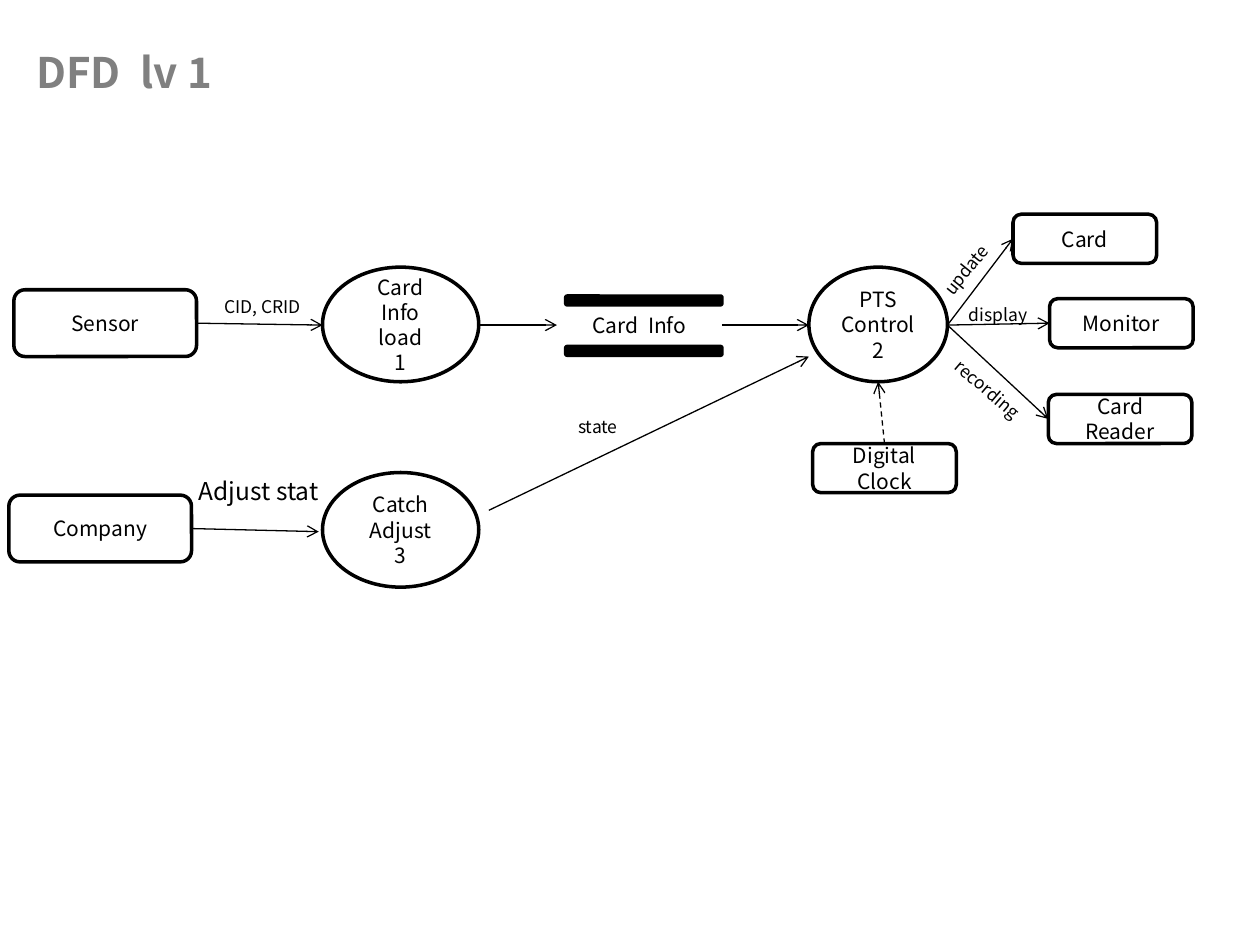
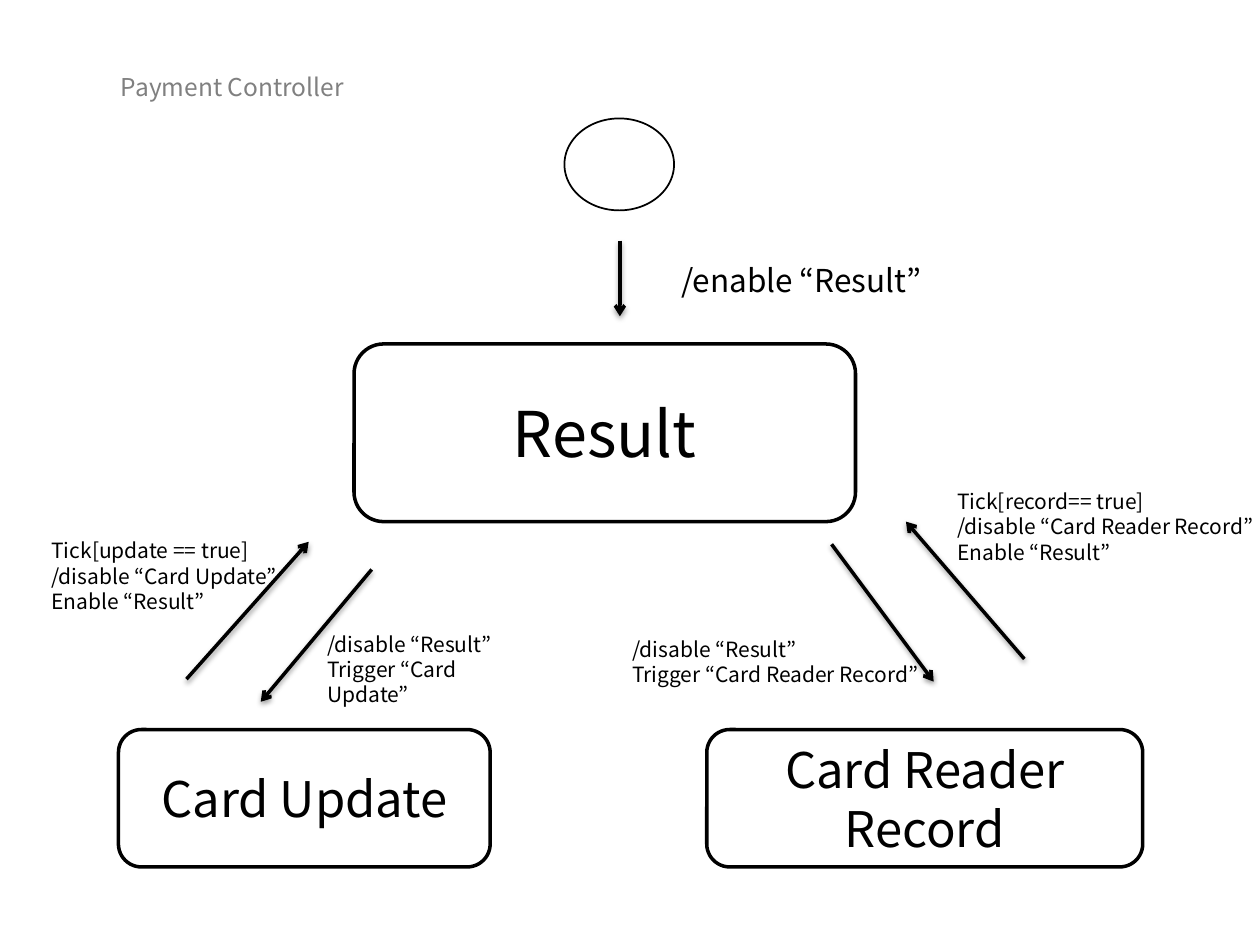
from lxml import etree
from pptx import Presentation
from pptx.dml.color import RGBColor
from pptx.enum.dml import MSO_LINE
from pptx.enum.shapes import MSO_CONNECTOR, MSO_SHAPE
from pptx.enum.text import MSO_ANCHOR, MSO_AUTO_SIZE, PP_ALIGN
from pptx.oxml.ns import qn
from pptx.util import Inches, Pt

PX = Inches(1) // 100
FONT = "Noto Sans CJK KR"
COLOURS = {"ink": "000000", "title": "808080"}
INK = RGBColor.from_string(COLOURS["ink"])
TITLE_COLOUR = RGBColor.from_string(COLOURS["title"])

ROUNDED, OVAL = MSO_SHAPE.ROUNDED_RECTANGLE, MSO_SHAPE.OVAL
STRAIGHT, DASH = MSO_CONNECTOR.STRAIGHT, MSO_LINE.DASH
LEFT, CENTER = PP_ALIGN.LEFT, PP_ALIGN.CENTER
TOP, MIDDLE = MSO_ANCHOR.TOP, MSO_ANCHOR.MIDDLE
TOP_SIDE, LEFT_SIDE, RIGHT_SIDE = 0, 1, 3


def add_box(page, kind, frame, text="", size=12, align=CENTER, weight=2, filled=False):
    """Add an outlined shape, or a plain text box when kind is None."""
    place = [length * PX for length in frame]
    if kind is None:
        box = page.shapes.add_textbox(*place)
    else:
        box = page.shapes.add_shape(kind, *place)
        box.shadow.inherit = False
        box.line.color.rgb = INK
        box.line.width = Pt(weight)
        if filled:
            box.fill.solid()
            box.fill.fore_color.rgb = INK
        else:
            box.fill.background()
    box.text_frame.text = text
    box.text_frame.word_wrap = True
    box.text_frame.vertical_anchor = TOP if kind is None else MIDDLE
    for paragraph in box.text_frame.paragraphs:
        paragraph.alignment = align
        paragraph.font.name = FONT
        paragraph.font.size = Pt(size)
        paragraph.font.color.rgb = INK
    return box


def add_arrow(page, start, end, weight=0.75, shadowed=False):
    """Add a straight line with an open arrowhead at its end."""
    arrow = page.shapes.add_connector(STRAIGHT, *[length * PX for length in start + end])
    arrow.line.color.rgb = INK
    arrow.line.width = Pt(weight)
    etree.SubElement(arrow.line._get_or_add_ln(), qn("a:tailEnd"), type="arrow")
    effects = etree.SubElement(arrow._element.spPr, qn("a:effectLst"))
    if shadowed:
        shadow = etree.SubElement(effects, qn("a:outerShdw"), blurRad=str(Pt(3.1)),
                                  dist=str(Pt(1.6)), dir="5400000", rotWithShape="0")
        colour = etree.SubElement(shadow, qn("a:srgbClr"), val=COLOURS["ink"])
        etree.SubElement(colour, qn("a:alpha"), val="38000")
    return arrow


deck = Presentation()
deck.slide_width, deck.slide_height = 1000 * PX, 750 * PX

# Pages and their titles
pages = []
for text, frame, size, bold, align in [
    ("DFD  lv 1", (14, 32, 169, 91), 24, True, CENTER),
    ("Payment Controller", (86, 52, 222, 34), 14, False, LEFT),
]:
    page = deck.slides.add_slide(deck.slide_layouts[5])
    title = page.shapes.title
    title.left, title.top, title.width, title.height = [length * PX for length in frame]
    title.text_frame.text = text
    title.text_frame.auto_size = MSO_AUTO_SIZE.NONE
    title.text_frame.vertical_anchor = TOP
    paragraph = title.text_frame.paragraphs[0]
    paragraph.alignment = align
    paragraph.font.name = FONT
    paragraph.font.size = Pt(size)
    paragraph.font.bold = bold
    paragraph.font.color.rgb = TITLE_COLOUR
    pages.append(page)
flow_page, state_page = pages

# Data flow: outside entities, processes and the data store
entities = {}
for name, left, top, width, height in [
    ("Sensor", 11, 230, 145, 53),
    ("Company", 7, 393, 145, 53),
    ("Card", 804, 170, 114, 39),
    ("Monitor", 833, 237, 114, 39),
    ("Card Reader", 832, 313, 114, 39),
    ("Digital Clock", 645, 352, 114, 39),
]:
    entities[name] = add_box(flow_page, ROUNDED, (left, top, width, height), name)

for text, left, top, width, margin in [
    ("Card Info load\n1", 256, 212, 124, 10),
    ("PTS\nControl\n2", 642, 212, 110, 5),
    ("Catch Adjust\n3", 256, 375, 124, 10),
]:
    process = add_box(flow_page, OVAL, (left, top, width, 91), text)
    process.text_frame.margin_left = process.text_frame.margin_right = margin * PX

for bar_top in (235, 275):
    add_box(flow_page, ROUNDED, (449, bar_top, 124, 7), filled=True)
add_box(flow_page, None, (442, 243, 131, 30), "Card  Info")

# Data flow: arrows
for start, end in [
    ((380, 258), (442, 258)),
    ((573, 258), (642, 258)),
    ((388, 405), (642, 283)),
]:
    add_arrow(flow_page, start, end)

for name, end in [("Sensor", (256, 258)), ("Company", (253, 422))]:
    arrow = add_arrow(flow_page, end, end)
    arrow.begin_connect(entities[name], RIGHT_SIDE)

control_exit = (752, 258)
for name in ("Card", "Monitor", "Card Reader"):
    arrow = add_arrow(flow_page, control_exit, control_exit)
    arrow.end_connect(entities[name], LEFT_SIDE)

clock_arrow = add_arrow(flow_page, (702, 352), (697, 303))
clock_arrow.begin_connect(entities["Digital Clock"], TOP_SIDE)
clock_arrow.line.dash_style = DASH

# Data flow: arrow labels
for text, frame, size, angle in [
    ("CID, CRID", (168, 230, 88, 27), 10, 0),
    ("update", (730, 192, 88, 27), 10, 309),
    ("display", (759, 236, 74, 27), 10, 0),
    ("recording", (741, 301, 99, 27), 10, 40.4),
    ("Adjust stat", (148, 373, 131, 34), 14, 0),
    ("state", (449, 325, 89, 27), 10, 0),
]:
    label = add_box(flow_page, None, frame, text, size, LEFT)
    label.rotation = angle

# State diagram: start mark and states
add_box(state_page, OVAL, (448, 94, 87, 73), weight=1)
for text, frame, size in [
    ("Result", (281, 273, 398, 141), 36),
    ("Card Update", (94, 579, 295, 109), 28),
    ("Card Reader Record", (561, 579, 346, 109), 28),
]:
    add_box(state_page, ROUNDED, frame, text, size)

# State diagram: transitions and their labels
for start, end in [
    ((492, 191), (492, 251)),
    ((295, 452), (207, 557)),
    ((660, 432), (741, 541)),
    ((148, 539), (245, 430)),
    ((813, 523), (719, 414)),
]:
    add_arrow(state_page, start, end, weight=2, shadowed=True)

for text, frame, size in [
    ("/enable “Result”", (531, 202, 258, 40), 18),
    ("/disable “Result”\nTrigger “Card Update”", (250, 496, 188, 50), 12),
    ("/disable “Result”\nTrigger “Card Reader Record”", (492, 500, 250, 50), 12),
    ("Tick[update == true]\n/disable “Card Update”\nEnable “Result”", (31, 422, 258, 71), 12),
    ("Tick[record== true]\n/disable “Card Reader Record”\nEnable “Result”", (750, 383, 258, 71), 12),
]:
    add_box(state_page, None, frame, text, size, LEFT)

deck.save("out.pptx")
